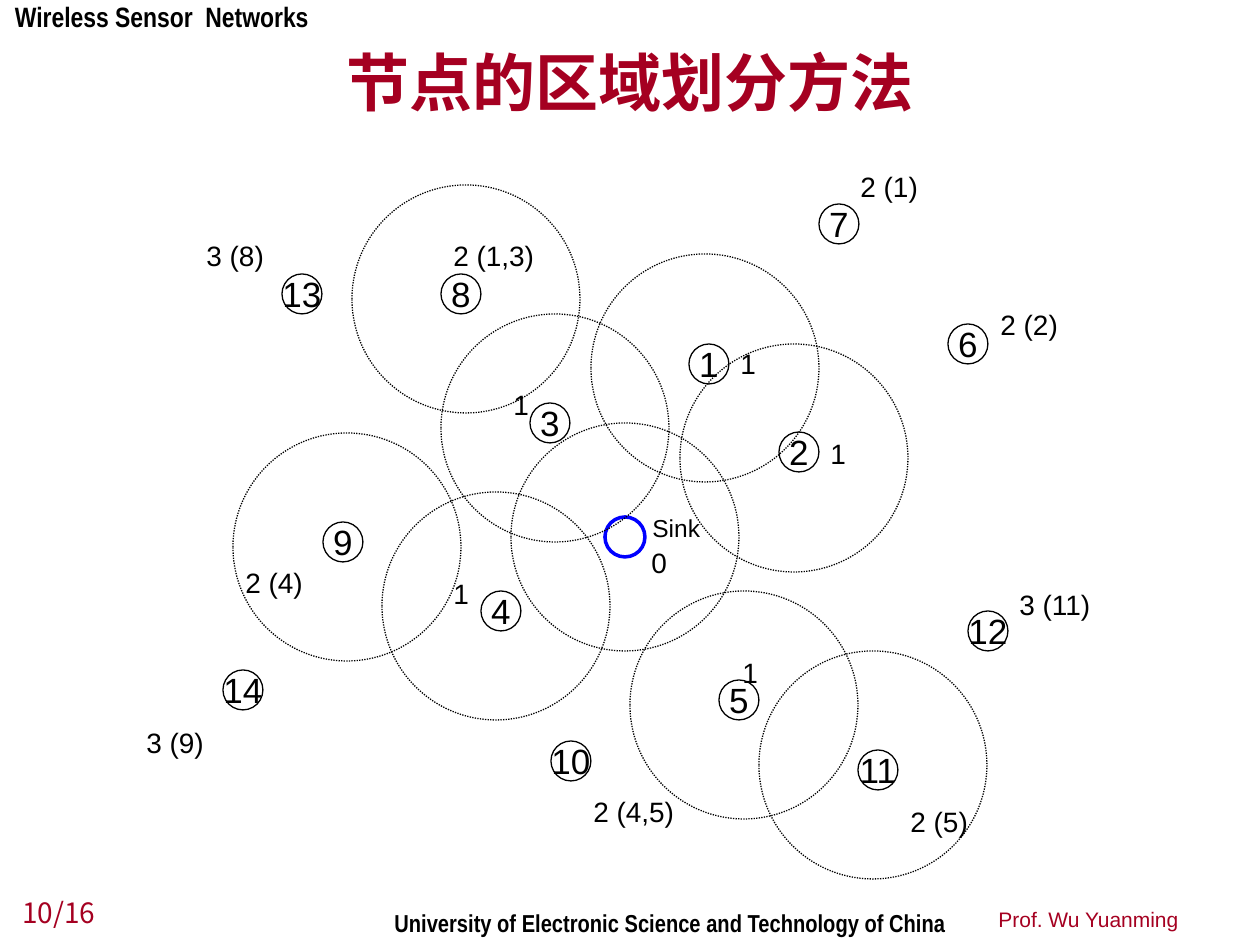
from dataclasses import dataclass
from typing import Optional

from lxml.etree import SubElement
from pptx import Presentation
from pptx.dml.color import RGBColor
from pptx.enum.dml import MSO_LINE
from pptx.enum.shapes import MSO_SHAPE
from pptx.enum.text import MSO_ANCHOR, MSO_AUTO_SIZE, PP_ALIGN
from pptx.oxml.ns import qn
from pptx.util import Emu, Inches, Pt

PX_PER_INCH = 126
NODE_SIZE = 40
RANGE_SIZE = 228
LABEL_HEIGHT = 47


@dataclass(frozen=True)
class Theme:
    ink: RGBColor = RGBColor(0x00, 0x00, 0x00)
    accent: RGBColor = RGBColor(0xA5, 0x00, 0x21)
    sink: RGBColor = RGBColor(0x00, 0x00, 0xFF)
    body_font: str = "Arial"
    narrow_font: str = "Arial Narrow"
    title_font: str = "Noto Sans CJK JP"
    title_size: int = 36
    node_size: int = 20
    label_size: int = 16
    small_size: int = 14
    author_size: int = 12
    thin_line: float = 0.75
    sink_line: float = 2


@dataclass(frozen=True)
class Box:
    left: int
    top: int
    width: int
    height: int


@dataclass(frozen=True)
class Style:
    font: str
    size: int
    color: RGBColor
    bold: bool = False
    align: PP_ALIGN = PP_ALIGN.LEFT


@dataclass(frozen=True)
class Label:
    text: str
    left: int
    top: int
    width: int = 83


@dataclass(frozen=True)
class Node:
    number: str
    left: int
    top: int
    level: Label
    range_corner: Optional[tuple[int, int]] = None


THEME = Theme()
NODE_STYLE = Style(THEME.body_font, THEME.node_size, THEME.ink, align=PP_ALIGN.CENTER)
LABEL_STYLE = Style(THEME.body_font, THEME.label_size, THEME.ink)
SINK_STYLE = Style(THEME.body_font, THEME.small_size, THEME.ink)
TITLE_STYLE = Style(THEME.title_font, THEME.title_size, THEME.accent, True, PP_ALIGN.CENTER)
PAGE_STYLE = Style(THEME.title_font, THEME.label_size, THEME.accent)
COURSE_STYLE = Style(THEME.narrow_font, THEME.label_size, THEME.ink, True)
SCHOOL_STYLE = Style(THEME.narrow_font, THEME.small_size, THEME.ink, True)
AUTHOR_STYLE = Style(THEME.body_font, THEME.author_size, THEME.accent, align=PP_ALIGN.RIGHT)

NODES = [
    Node("1", 689, 344, Label("1", 728, 340, 40), (591, 254)),
    Node("2", 779, 432, Label("1", 818, 430, 40), (680, 344)),
    Node("3", 530, 403, Label("1", 501, 381, 40), (441, 314)),
    Node("4", 481, 591, Label("1", 441, 570, 40), (382, 492)),
    Node("5", 719, 680, Label("1", 730, 649, 40), (630, 591)),
    Node("6", 948, 324, Label("2 (2)", 988, 301)),
    Node("7", 819, 204, Label("2 (1)", 848, 163)),
    Node("8", 441, 274, Label("2 (1,3)", 441, 232, 107), (352, 185)),
    Node("9", 323, 522, Label("2 (4)", 233, 559), (233, 433)),
    Node("10", 551, 741, Label("2 (4,5)", 581, 788, 107)),
    Node("11", 858, 750, Label("2 (5)", 898, 798), (759, 651)),
    Node("12", 968, 611, Label("3 (11)", 1007, 581, 98)),
    Node("13", 282, 274, Label("3 (8)", 194, 232)),
    Node("14", 223, 670, Label("3 (9)", 134, 719)),
]


def px(length: int) -> Emu:
    return Emu(round(length * Inches(1) / PX_PER_INCH))


def place(box: Box) -> tuple[Emu, Emu, Emu, Emu]:
    return px(box.left), px(box.top), px(box.width), px(box.height)


def write(frame, text: str, style: Style, anchor=MSO_ANCHOR.TOP, wrap: bool = True) -> None:
    frame.text = text
    frame.word_wrap = wrap
    frame.auto_size = MSO_AUTO_SIZE.NONE
    frame.vertical_anchor = anchor
    paragraph = frame.paragraphs[0]
    paragraph.alignment = style.align
    for run in paragraph.runs:
        run.font.name = style.font
        run.font.size = Pt(style.size)
        run.font.bold = style.bold
        run.font.color.rgb = style.color
        SubElement(run.font._element, qn("a:ea")).set("typeface", style.font)


def add_text(slide, text: str, box: Box, style: Style, anchor=MSO_ANCHOR.TOP, wrap: bool = True):
    frame = slide.shapes.add_textbox(*place(box)).text_frame
    write(frame, text, style, anchor, wrap)
    return frame


def add_label(slide, label: Label, style: Style = LABEL_STYLE, height: int = LABEL_HEIGHT) -> None:
    add_text(slide, label.text, Box(label.left, label.top, label.width, height), style, wrap=False)


def add_circle(slide, left: int, top: int, size: int, color: RGBColor = THEME.ink,
               weight: float = THEME.thin_line):
    circle = slide.shapes.add_shape(MSO_SHAPE.OVAL, *place(Box(left, top, size, size)))
    circle.shadow.inherit = False
    circle.fill.background()
    circle.line.color.rgb = color
    circle.line.width = Pt(weight)
    return circle


def add_range(slide, left: int, top: int) -> None:
    add_circle(slide, left, top, RANGE_SIZE).line.dash_style = MSO_LINE.ROUND_DOT


def add_node(slide, node: Node) -> None:
    circle = add_circle(slide, node.left, node.top, NODE_SIZE)
    write(circle.text_frame, node.number, NODE_STYLE, MSO_ANCHOR.MIDDLE, wrap=False)
    add_label(slide, node.level)
    if node.range_corner:
        add_range(slide, *node.range_corner)


def add_sink(slide) -> None:
    add_circle(slide, 605, 517, NODE_SIZE, THEME.sink, THEME.sink_line)
    add_range(slide, 511, 423)
    add_label(slide, Label("0", 639, 539, 40))
    add_label(slide, Label("Sink", 640, 507, 73), SINK_STYLE, 42)


def add_header_and_footer(slide) -> None:
    course = add_text(slide, "Wireless Sensor  Networks", Box(15, 0, 338, 34), COURSE_STYLE)
    course.margin_left = course.margin_right = course.margin_top = course.margin_bottom = 0
    add_text(slide, "University of Electronic Science and Technology of China",
             Box(382, 902, 596, 43), SCHOOL_STYLE)
    add_text(slide, "10/16", Box(10, 886, 127, 49), PAGE_STYLE, MSO_ANCHOR.BOTTOM)
    add_text(slide, "Prof. Wu Yuanming", Box(968, 893, 223, 45), AUTHOR_STYLE, MSO_ANCHOR.BOTTOM)


def main() -> None:
    presentation = Presentation()
    presentation.slide_width = px(1260)
    presentation.slide_height = px(945)
    slide = presentation.slides.add_slide(presentation.slide_layouts[5])

    title = slide.shapes.title
    title.left, title.top, title.width, title.height = place(Box(94, 42, 1071, 83))
    write(title.text_frame, "节点的区域划分方法", TITLE_STYLE, MSO_ANCHOR.BOTTOM)

    add_header_and_footer(slide)
    add_sink(slide)
    for node in NODES:
        add_node(slide, node)

    presentation.save("out.pptx")


if __name__ == "__main__":
    main()
